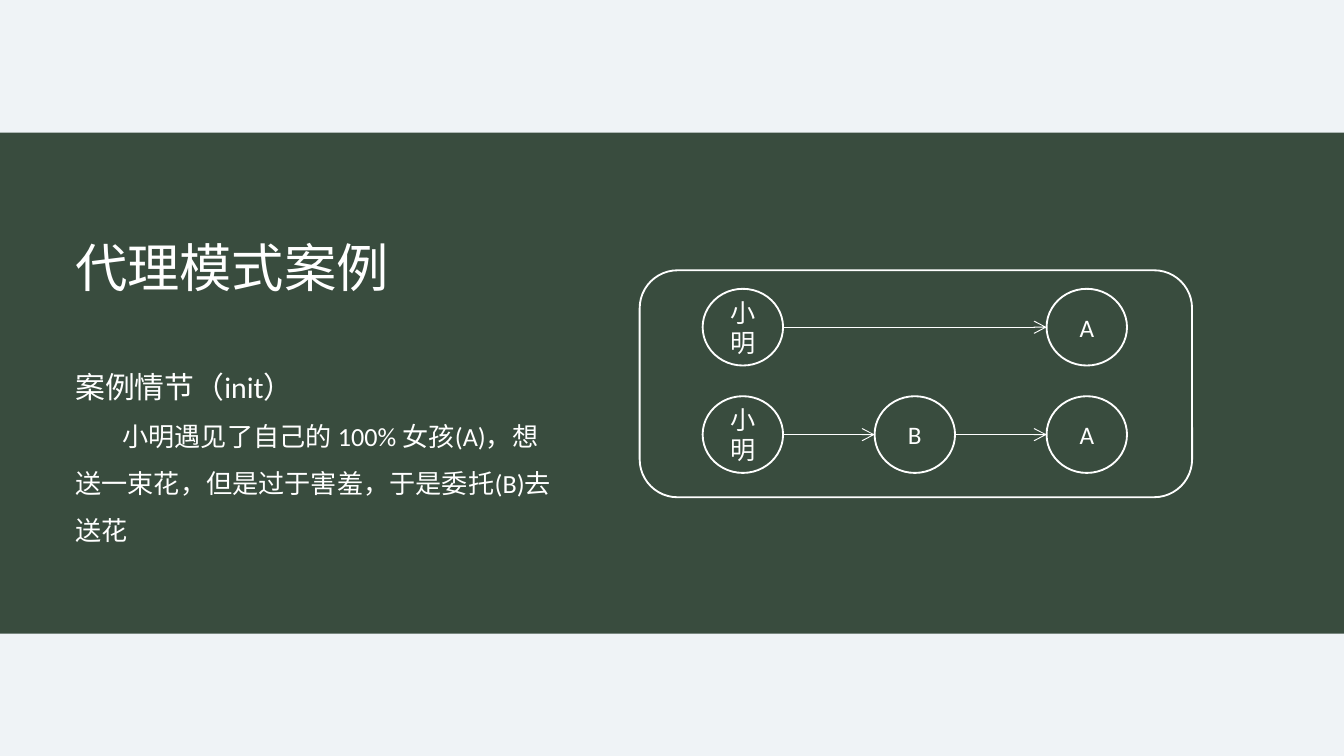
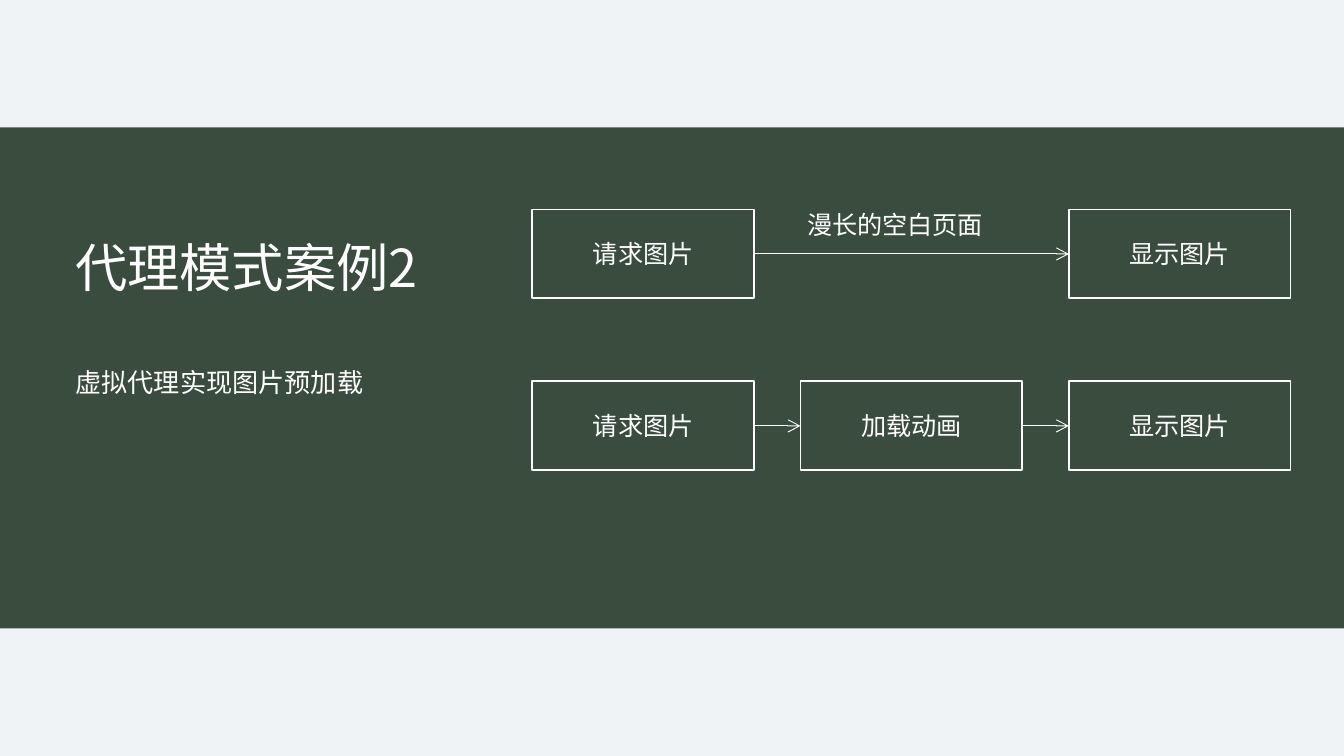
import pptx
import pptx.dml.color
import pptx.enum.shapes
import pptx.enum.text
import pptx.oxml
import pptx.oxml.ns
import pptx.util
from pptx.util import Cm

RGB = pptx.dml.color.RGBColor.from_string
SHAPE = pptx.enum.shapes.MSO_SHAPE
ALIGN = pptx.enum.text.PP_ALIGN
ANCHOR = pptx.enum.text.MSO_ANCHOR

THEME = {
    "paper": RGB("EFF3F6"),
    "green": RGB("394C3E"),
    "white": RGB("FFFFFF"),
    "latin": "Calibri",
    "chinese": "Noto Sans CJK SC",
    "title": 28,
    "heading": 16,
    "body": 14,
    "label": 13.5,
    "outline": 1,
    "arrow": 0.5,
}

# Each row of a diagram maps a column number to the label of its node.
SLIDES = [
    {
        "title": "代理模式案例",
        "band_top": 2.51,
        "body_height": 3.96,
        "body": [
            ("案例情节（init）", THEME["heading"], 0),
            ("小明遇见了自己的 100% 女孩(A)，想送一束花，但是过于害羞，于是委托(B)去送花", THEME["body"], 0.89),
        ],
        "frame": (12.09, 5.11, 10.44, 4.29),
        "node": SHAPE.OVAL,
        "node_size": (1.52, 1.45),
        "start": (13.28, 5.46),
        "step": (3.25, 2.03),
        "rows": [{0: "小明", 2: "A"}, {0: "小明", 1: "B", 2: "A"}],
        "caption": None,
    },
    {
        "title": "代理模式案例2",
        "band_top": 2.41,
        "body_height": 1.14,
        "body": [("虚拟代理实现图片预加载", THEME["body"], 0)],
        "frame": None,
        "node": SHAPE.RECTANGLE,
        "node_size": (4.19, 1.68),
        "start": (10.06, 3.96),
        "step": (5.07, 3.25),
        "rows": [{0: "请求图片", 2: "显示图片"}, {0: "请求图片", 1: "加载动画", 2: "显示图片"}],
        "caption": "漫长的空白页面",
    },
]


def format_text(para, size, latin=THEME["latin"]):
    for span in para.runs:
        span.font.size = pptx.util.Pt(size)
        span.font.name = latin
        span.font.color.rgb = THEME["white"]
        east_asian = pptx.oxml.parse_xml(
            f'<a:ea {pptx.oxml.ns.nsdecls("a")} typeface="{THEME["chinese"]}"/>')
        span.font._element.find(pptx.oxml.ns.qn("a:latin")).addnext(east_asian)


def add_green_shape(page, kind, box, outlined=True):
    shape = page.shapes.add_shape(kind, *map(Cm, box))
    shape.shadow.inherit = False
    shape.fill.solid()
    shape.fill.fore_color.rgb = THEME["green"]
    if outlined:
        shape.line.color.rgb = THEME["white"]
        shape.line.width = pptx.util.Pt(THEME["outline"])
    else:
        shape.line.fill.background()
    return shape


deck = pptx.Presentation()
deck.slide_width, deck.slide_height = Cm(25.4), Cm(14.29)

for content in SLIDES:
    page = deck.slides.add_slide(deck.slide_layouts[1])
    page.background.fill.solid()
    page.background.fill.fore_color.rgb = THEME["paper"]

    title, body = page.shapes.title, page.placeholders[1]
    band = add_green_shape(page, SHAPE.RECTANGLE, (0, content["band_top"], 25.4, 9.47), outlined=False)
    title.element.addprevious(band.element)

    # Title and body text
    for holder, top, width, height in ((title, 4.32, 7.95, 1.45),
                                       (body, 6.5, 9.63, content["body_height"])):
        holder.left, holder.top = Cm(1.17), Cm(top)
        holder.width, holder.height = Cm(width), Cm(height)
        holder.text_frame.word_wrap = True
        holder.text_frame.auto_size = pptx.enum.text.MSO_AUTO_SIZE.NONE
        holder.text_frame.vertical_anchor = ANCHOR.TOP
    title.text_frame.text = content["title"]
    title.text_frame.paragraphs[0].alignment = ALIGN.LEFT
    format_text(title.text_frame.paragraphs[0], THEME["title"], THEME["chinese"])

    body.text_frame.text = "\n".join(text for text, size, indent in content["body"])
    for para, (text, size, indent) in zip(body.text_frame.paragraphs, content["body"]):
        para.line_spacing = 1.5
        para.space_before = pptx.util.Pt(0)
        format_text(para, size)
        properties = para._p.get_or_add_pPr()
        properties.set("marL", "0")
        properties.set("indent", str(Cm(indent)))
        properties.append(pptx.oxml.parse_xml(f'<a:buNone {pptx.oxml.ns.nsdecls("a")}/>'))

    # Diagram: nodes on a grid, each joined to the next one in its row
    if content["frame"]:
        add_green_shape(page, SHAPE.ROUNDED_RECTANGLE, content["frame"])
    for row, labels in enumerate(content["rows"]):
        top = content["start"][1] + row * content["step"][1]
        nodes = []
        for column, label in labels.items():
            left = content["start"][0] + column * content["step"][0]
            node = add_green_shape(page, content["node"], (left, top, *content["node_size"]))
            node.text_frame.text = label
            node.text_frame.vertical_anchor = ANCHOR.MIDDLE
            node.text_frame.paragraphs[0].alignment = ALIGN.CENTER
            format_text(node.text_frame.paragraphs[0], THEME["label"])
            nodes.append(node)
        for source, target in zip(nodes, nodes[1:]):
            middle = source.top + source.height // 2
            arrow = page.shapes.add_connector(
                pptx.enum.shapes.MSO_CONNECTOR.STRAIGHT,
                source.left + source.width, middle, target.left, middle)
            arrow.line.color.rgb = THEME["white"]
            arrow.line.width = pptx.util.Pt(THEME["arrow"])
            arrow.line._get_or_add_ln().append(pptx.oxml.parse_xml(
                f'<a:tailEnd {pptx.oxml.ns.nsdecls("a")} type="arrow"/>'))
            arrow._element.spPr.append(pptx.oxml.parse_xml(
                f'<a:effectLst {pptx.oxml.ns.nsdecls("a")}/>'))

    if content["caption"]:
        caption = page.shapes.add_textbox(Cm(15.01), Cm(3.84), Cm(4.19), Cm(0.84))
        caption.text_frame.word_wrap = True
        caption.text_frame.text = content["caption"]
        format_text(caption.text_frame.paragraphs[0], THEME["label"])

deck.save("out.pptx")
